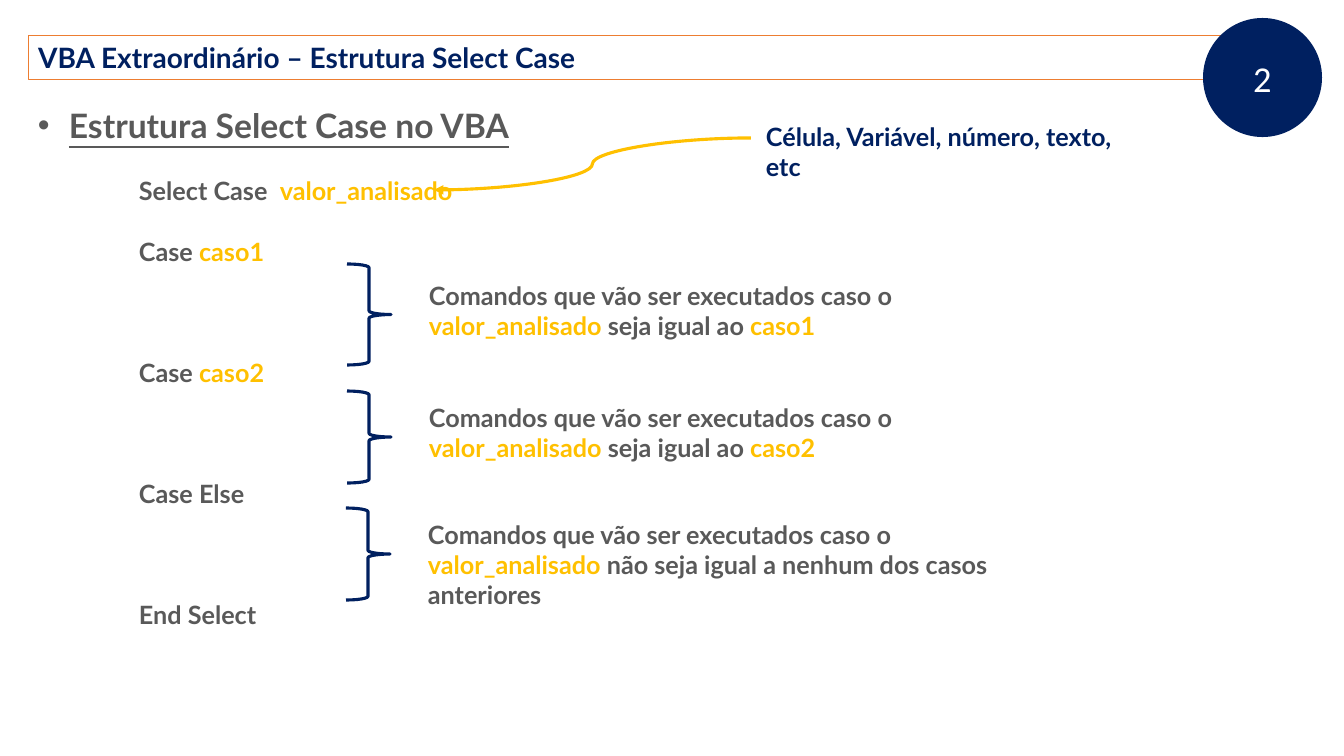
from lxml.etree import SubElement
from pptx import Presentation
from pptx.dml.color import RGBColor
from pptx.enum.shapes import MSO_CONNECTOR, MSO_SHAPE
from pptx.enum.text import MSO_ANCHOR, MSO_AUTO_SIZE, PP_ALIGN
from pptx.oxml.ns import qn
from pptx.util import Emu, Pt

PIXEL = 914400 / 100.8
COLOURS = {
    "navy": "002060",
    "gold": "FFC000",
    "grey": "595959",
    "orange": "ED7D31",
    "white": "FFFFFF",
}
LINE_HEIGHT = 21.6  # points, one line of 18 pt text


def px(length):
    return Emu(round(length * PIXEL))


def colour(name):
    return RGBColor.from_string(COLOURS[name])


def write(paragraph, text, size=18, color="grey", font="Lato", bold=True,
          underline=False, align=PP_ALIGN.LEFT, before=0):
    """Fill a paragraph; every second part between bars is gold."""
    paragraph.alignment = align
    paragraph.space_before = Pt(before)
    for index, part in enumerate(text.split("|")):
        if part:
            run = paragraph.add_run()
            run.text = part
            run.font.name = font
            run.font.size = Pt(size)
            run.font.bold = bold
            run.font.underline = underline
            run.font.color.rgb = colour("gold" if index % 2 else color)


def indent(paragraph, left, first=0, bullet=None):
    properties = paragraph._p.get_or_add_pPr()
    properties.set("marL", str(px(left)))
    properties.set("indent", str(px(first)))
    if bullet:
        SubElement(properties, qn("a:buFont"), typeface="Arial")
        SubElement(properties, qn("a:buChar"), char=bullet)


class SlideBuilder:
    def __init__(self, slide):
        self.slide = slide

    def frame(self, shape, anchor=MSO_ANCHOR.TOP):
        frame = shape.text_frame
        frame.word_wrap = True
        frame.auto_size = MSO_AUTO_SIZE.NONE
        frame.vertical_anchor = anchor
        return frame

    def title(self, box, text, **style):
        title = self.slide.shapes.title
        title.left, title.top, title.width, title.height = map(px, box)
        title.line.color.rgb = colour("orange")
        title.line.width = Pt(0.5)
        write(self.frame(title).paragraphs[0], text, **style)

    def shape(self, kind, box, fill=None, line=None, rotation=0):
        shape = self.slide.shapes.add_shape(kind, *map(px, box))
        shape.shadow.inherit = False
        shape.rotation = rotation
        if fill:
            shape.fill.solid()
            shape.fill.fore_color.rgb = colour(fill)
        else:
            shape.fill.background()
        if line:
            shape.line.color.rgb = colour(line)
            shape.line.width = Pt(2.25)
        else:
            shape.line.fill.background()
        return shape

    def text(self, box, text, **style):
        text_box = self.slide.shapes.add_textbox(*map(px, box))
        write(self.frame(text_box).paragraphs[0], text, **style)

    def curved_arrow(self, start, end, color):
        arrow = self.slide.shapes.add_connector(
            MSO_CONNECTOR.CURVE, *map(px, start + end))
        arrow.line.color.rgb = colour(color)
        arrow.line.width = Pt(2.25)
        SubElement(arrow.line._get_or_add_ln(), qn("a:tailEnd"), type="triangle")
        SubElement(arrow._element.spPr, qn("a:effectLst"))


presentation = Presentation()
presentation.slide_width, presentation.slide_height = px(1344), px(756)
builder = SlideBuilder(presentation.slides.add_slide(presentation.slide_layouts[5]))

# Title bar and page number
builder.title((28, 35, 1256, 44), "VBA Extraordinário – Estrutura Select Case",
              size=20, color="navy")
badge = builder.shape(MSO_SHAPE.OVAL, (1203, 18, 119, 119), fill="navy")
write(builder.frame(badge, MSO_ANCHOR.MIDDLE).paragraphs[0], "2", size=26,
      color="white", font="Calibri", bold=False, align=PP_ALIGN.CENTER)

# Heading and code outline: each code line with the number of free lines above
body = builder.shape(MSO_SHAPE.RECTANGLE, (28, 100, 1176, 631), fill="white")
body_frame = builder.frame(body)
heading = body_frame.paragraphs[0]
write(heading, "Estrutura Select Case no VBA", size=24, underline=True,
      align=PP_ALIGN.JUSTIFY)
indent(heading, 31, -31, "•")
code_lines = [
    ("Select Case  |valor_analisado", 1),
    ("Case |caso1", 1),
    ("Case |caso2", 3),
    ("Case Else", 3),
    ("End Select", 3),
]
for code, free_lines in code_lines:
    paragraph = body_frame.add_paragraph()
    write(paragraph, code, align=PP_ALIGN.JUSTIFY, before=free_lines * LINE_HEIGHT)
    indent(paragraph, 101)

# Braces with the explanation of each case
cases = [
    (347, 264, 101, 275, "seja igual ao |caso1"),
    (347, 391, 92, 397, "seja igual ao |caso2"),
    (346, 508, 92, 514, "não seja igual a nenhum dos casos anteriores"),
]
for left, top, height, text_top, condition in cases:
    builder.shape(MSO_SHAPE.LEFT_BRACE, (left, top, 44, height), line="navy",
                  rotation=180)
    builder.text((left + 72, text_top, 637, 72),
                 "Comandos que vão ser executados caso o |valor_analisado| " + condition)

# Note on the analysed value
builder.curved_arrow((751, 138), (434, 190), "gold")
builder.text((756, 116, 398, 40), "Célula, Variável, número, texto, etc", color="navy")

presentation.save("out.pptx")
